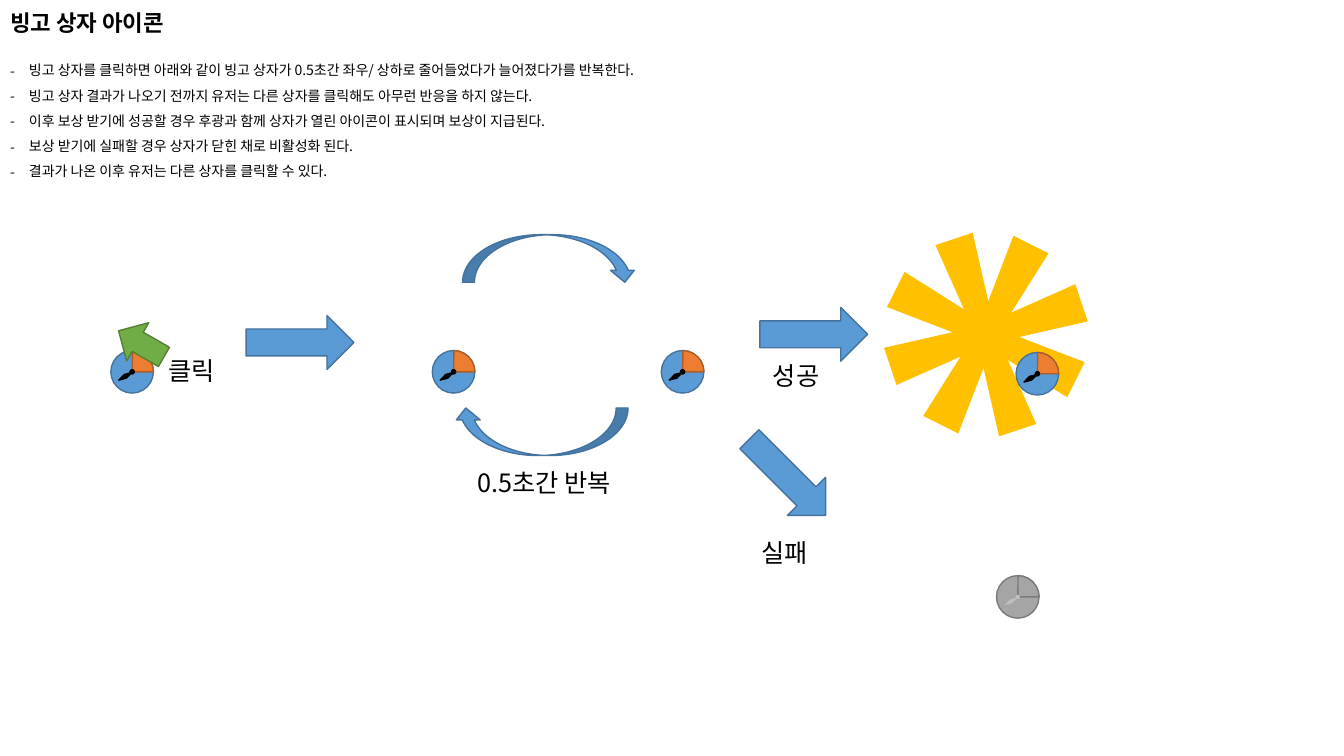
from dataclasses import dataclass
from math import cos, radians, sin

from lxml.etree import SubElement
from pptx import Presentation
from pptx.dml.color import RGBColor as RGB
from pptx.enum.shapes import MSO_SHAPE as SHAPE
from pptx.enum.text import MSO_ANCHOR as ANCHOR, MSO_AUTO_SIZE as AUTO, PP_ALIGN as ALIGN
from pptx.oxml.ns import qn
from pptx.util import Pt


@dataclass(frozen=True)
class Theme:
    font: str = "Noto Sans CJK KR"
    title: int = 16
    body: int = 10
    label: int = 18
    black: str = "000000"
    blue: tuple = ("5B9BD5", "43739E")
    orange: tuple = ("ED7D31", "AF5C24")
    green: tuple = ("70AD47", "538035")
    gray: tuple = ("A5A5A5", "7A7A7A")
    hand: tuple = ("000000", "000000")
    hand_off: tuple = ("BFBFBF", None)
    gold: tuple = ("FFC000", None)


T = Theme()
RULES = (
    "빙고 상자를 클릭하면 아래와 같이 빙고 상자가 0.5초간 좌우/ 상하로 줄어들었다가 늘어졌다가를 반복한다.",
    "빙고 상자 결과가 나오기 전까지 유저는 다른 상자를 클릭해도 아무런 반응을 하지 않는다.",
    "이후 보상 받기에 성공할 경우 후광과 함께 상자가 열린 아이콘이 표시되며 보상이 지급된다.",
    "보상 받기에 실패할 경우 상자가 닫힌 채로 비활성화 된다.",
    "결과가 나온 이후 유저는 다른 상자를 클릭할 수 있다.",
)


def place(sp, left, top, width, height):
    sp.left, sp.top, sp.width, sp.height = map(Pt, (left, top, width, height))


def style(p, size, bold=False):
    for r in p.runs:
        r.font.size = Pt(size)
        r.font.bold = bold
        r.font.color.rgb = RGB.from_string(T.black)
        r.font.name = T.font
        SubElement(r.font._element, qn("a:ea"), typeface=T.font)


def add_title(s, text):
    sp = s.shapes.title
    place(sp, 0, 0, 960, 34.6)
    tf = sp.text_frame
    tf.text = text
    tf.auto_size = AUTO.NONE
    tf.vertical_anchor = ANCHOR.MIDDLE
    p = tf.paragraphs[0]
    p.alignment = ALIGN.LEFT
    p.line_spacing = 0.9
    style(p, T.title, True)


def add_rules(s, lines):
    sp = s.placeholders[1]
    place(sp, 0, 34.6, 514, 98)
    tf = sp.text_frame
    tf.text = "\n".join(lines)
    tf.word_wrap = False
    tf.auto_size = AUTO.SHAPE_TO_FIT_TEXT
    for p in tf.paragraphs:
        pPr = p._p.get_or_add_pPr()
        pPr.set("marL", str(Pt(13.5)))
        pPr.set("indent", str(Pt(-13.5)))
        SubElement(pPr, qn("a:buFont"), typeface=T.font)
        SubElement(pPr, qn("a:buChar"), char="-")
        p.line_spacing = 1.5
        p.space_before = Pt(0)
        style(p, T.body)


def add_figure(shapes, kind, box, colors, rotation=0):
    sp = shapes.add_shape(kind, *map(Pt, box))
    fill, line = colors
    sp.shadow.inherit = False
    sp.rotation = rotation
    sp.fill.solid()
    sp.fill.fore_color.rgb = RGB.from_string(fill)
    if line:
        sp.line.color.rgb = RGB.from_string(line)
        sp.line.width = Pt(1)
    else:
        sp.line.fill.background()
    return sp


def add_label(s, text, left, top, width):
    sp = s.shapes.add_textbox(Pt(left), Pt(top), Pt(width), Pt(29))
    tf = sp.text_frame
    tf.text = text
    tf.word_wrap = False
    tf.auto_size = AUTO.SHAPE_TO_FIT_TEXT
    style(tf.paragraphs[0], T.label)


def add_clock(s, x, y, face=T.blue, slice_colors=T.orange, hand=T.hand):
    shapes = s.shapes.add_group_shape().shapes
    add_figure(shapes, SHAPE.OVAL, (x, y, 30.4, 30.4), face)
    pie = add_figure(shapes, SHAPE.PIE, (x, y, 30.4, 30.4), slice_colors, 90)
    pie.adjustments[0], pie.adjustments[1] = 108.475, 162
    add_figure(shapes, SHAPE.OVAL, (x + 13.7, y + 13.7, 3, 3), hand)
    add_figure(shapes, SHAPE.DIAMOND, (x + 8.8, y + 13, 3, 10.8), hand, 60)


def add_halo(s, x, y, width=28, length=72):
    shapes = s.shapes.add_group_shape().shapes
    for i in range(8):
        angle = 26.6 + 45 * i
        left = x - length / 2 * sin(radians(angle)) - width / 2
        top = y + length / 2 * cos(radians(angle)) - length / 2
        add_figure(shapes, SHAPE.TRAPEZOID, (left, top, width, length), T.gold, angle)


def add_arrow(s, x, y, rotation=0):
    add_figure(s.shapes, SHAPE.RIGHT_ARROW, (x, y, 77, 38.4), T.blue, rotation)


def add_loop(s, x, y, rotation=0):
    add_figure(s.shapes, SHAPE.CURVED_DOWN_ARROW, (x, y, 124.4, 34), T.blue, rotation)


def main():
    prs = Presentation()
    prs.slide_width, prs.slide_height = Pt(960), Pt(540)
    s = prs.slides.add_slide(prs.slide_layouts[1])
    add_title(s, "빙고 상자 아이콘")
    add_rules(s, RULES)

    add_halo(s, 704.2, 239)
    for x, y in ((79.2, 250.4), (308.8, 250.4), (472.4, 250.4), (725.8, 251.8)):
        add_clock(s, x, y)
    add_clock(s, 711.8, 411.2, T.gray, T.gray, T.hand_off)
    add_figure(s.shapes, SHAPE.LEFT_ARROW, (82.2, 229.8, 37.4, 31.6), T.green, 30)

    for arrow in ((175.8, 225.4), (542.8, 219.6), (524, 321.8, 45)):
        add_arrow(s, *arrow)
    add_loop(s, 330.4, 167.6)
    add_loop(s, 324.2, 291.4, 180)

    for label in (
        ("클릭", 113, 250, 51),
        ("0.5초간 반복", 334, 330, 117.4),
        ("성공", 545, 254, 51),
        ("실패", 537, 380.4, 51),
    ):
        add_label(s, *label)
    prs.save("out.pptx")


if __name__ == "__main__":
    main()
